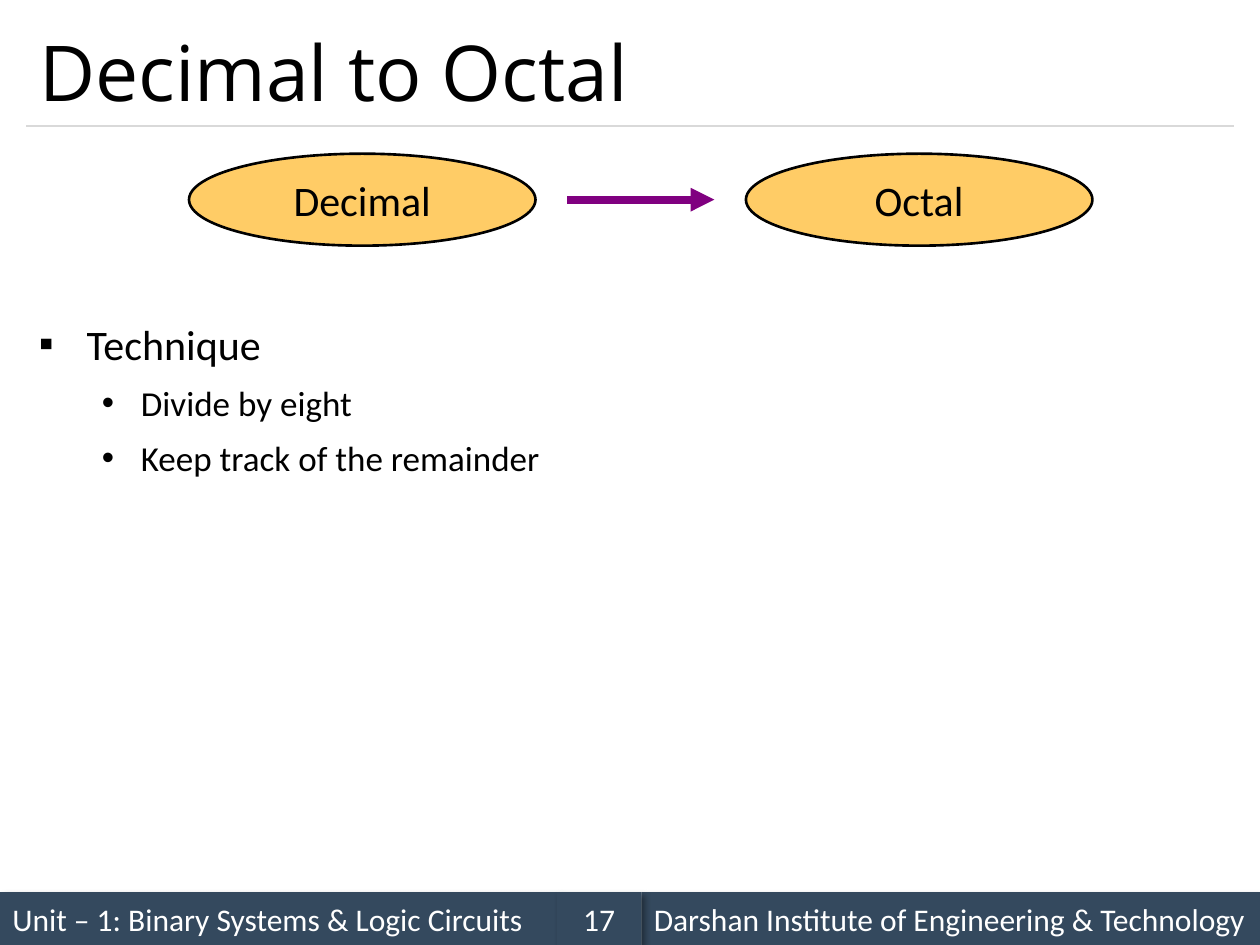
from lxml import etree
from pptx import Presentation
from pptx.dml.color import RGBColor
from pptx.enum.shapes import MSO_CONNECTOR, MSO_SHAPE
from pptx.enum.text import MSO_ANCHOR, MSO_AUTO_SIZE, PP_ALIGN
from pptx.oxml import parse_xml
from pptx.oxml.ns import nsdecls, qn
from pptx.util import Inches, Pt

STRAIGHT = MSO_CONNECTOR.STRAIGHT
RECTANGLE, OVAL = MSO_SHAPE.RECTANGLE, MSO_SHAPE.OVAL
MIDDLE, TOP = MSO_ANCHOR.MIDDLE, MSO_ANCHOR.TOP
LEFT, CENTER, JUSTIFY = PP_ALIGN.LEFT, PP_ALIGN.CENTER, PP_ALIGN.JUSTIFY
NO_FIT = MSO_AUTO_SIZE.NONE

WIDTH, HEIGHT = 10, 7.5
MARGIN = 0.21
CONTENT_WIDTH = WIDTH - 2 * MARGIN
COLORS = {
    "text": "000000",
    "footer": "34495E",
    "footer_text": "FFFFFF",
    "rule": "D9D9D9",
    "oval": "FFCC66",
    "arrow": "800080",
}
BULLETS = {0: ("▪", 0.38, 24), 1: ("•", 0.31, 20)}
LEVEL_INDENTS = {0: 0.38, 1: 0.81}


def color(name):
    """Return the named colour."""
    return RGBColor.from_string(COLORS[name])


def add_run(paragraph, text, size, color_name="text", font_name="Calibri"):
    """Append one formatted run to a paragraph."""
    run = paragraph.add_run()
    run.text = text
    run.font.name = font_name
    run.font.size = Pt(size)
    run.font.color.rgb = color(color_name)


def add_filled_shape(slide, kind, box, fill):
    """Add a flat shape with vertically centred text."""
    shape = slide.shapes.add_shape(kind, *map(Inches, box))
    shape.shadow.inherit = False
    shape.fill.solid()
    shape.fill.fore_color.rgb = color(fill)
    shape.text_frame.vertical_anchor = MIDDLE
    return shape


def add_line(slide, start, end, color_name, weight):
    """Add a straight line without a shadow."""
    line = slide.shapes.add_connector(STRAIGHT, *map(Inches, start + end))
    line.line.color.rgb = color(color_name)
    line.line.width = Pt(weight)
    etree.SubElement(line._element.spPr, qn("a:effectLst"))
    return line


def cast_shadow(shape):
    """Give a shape a soft shadow towards the lower right."""
    effects = shape._element.spPr.find(qn("a:effectLst"))
    effects.append(parse_xml(
        f'<a:outerShdw {nsdecls("a")} blurRad="{Pt(4)}" dist="{Pt(3)}" dir="2700000" '
        'algn="tl" rotWithShape="0"><a:srgbClr val="000000"><a:alpha val="40000"/>'
        '</a:srgbClr></a:outerShdw>'))


def add_footer(slide, top, height):
    """Fill the bottom band with unit, institute and page number."""
    number_left, number_width = 4.42, 0.67
    institute_left = number_left + number_width
    cells = [
        ("Unit – 1: Binary Systems & Logic Circuits", 0, number_left, LEFT),
        ("Darshan Institute of Engineering & Technology", institute_left,
         WIDTH - institute_left, LEFT),
        ("17", number_left, number_width, CENTER),
    ]
    for text, left, width, alignment in cells:
        cell = add_filled_shape(slide, RECTANGLE, (left, top, width, height), "footer")
        cell.line.fill.background()
        cast_shadow(cell)
        paragraph = cell.text_frame.paragraphs[0]
        paragraph.alignment = alignment
        add_run(paragraph, text, 18, "footer_text")


def add_title(slide, left, top, width, height):
    """Place the title with a thin rule along its bottom edge."""
    bottom = top + height
    add_line(slide, (left, bottom), (left + width, bottom), "rule", 0.75)
    title = slide.shapes.title
    title.left, title.top, title.width, title.height = map(Inches, (left, top, width, height))
    title.text_frame.auto_size = NO_FIT
    title.text_frame.vertical_anchor = MIDDLE
    paragraph = title.text_frame.paragraphs[0]
    paragraph.alignment = LEFT
    add_run(paragraph, "Decimal to Octal", 44, font_name="Open Sans")


def add_conversion(slide, left, top, width, height):
    """Draw two ovals at the ends of the box and an arrow in the gap."""
    oval_width, gap = 2.75, 0.25
    right_left = left + width - oval_width
    for text, oval_left in (("Decimal", left), ("Octal", right_left)):
        oval = add_filled_shape(slide, OVAL, (oval_left, top, oval_width, height), "oval")
        oval.line.color.rgb = color("text")
        oval.line.width = Pt(1.5)
        oval.text_frame.word_wrap = False
        paragraph = oval.text_frame.paragraphs[0]
        paragraph.alignment = CENTER
        add_run(paragraph, text, 24)
    middle = top + height / 2
    arrow = add_line(slide, (left + oval_width + gap, middle),
                     (right_left - gap, middle), "arrow", 4.5)
    etree.SubElement(arrow.line._get_or_add_ln(), qn("a:tailEnd"), type="triangle")


def format_bullet(paragraph, level):
    """Set the hanging indent and bullet sign of a list level."""
    sign, hanging, _ = BULLETS[level]
    paragraph.level = level
    properties = paragraph._p.get_or_add_pPr()
    properties.set("marL", str(Inches(LEVEL_INDENTS[level])))
    properties.set("indent", str(-Inches(hanging)))
    etree.SubElement(properties, qn("a:buFont"), typeface="Arial")
    etree.SubElement(properties, qn("a:buChar"), char=sign)


def add_bullets(slide, items, box):
    """Write a two-level bulleted list in the box."""
    frame = slide.shapes.add_textbox(*map(Inches, box)).text_frame
    frame.word_wrap = True
    frame.vertical_anchor = TOP
    for index, (level, text) in enumerate(items):
        paragraph = frame.add_paragraph() if index else frame.paragraphs[0]
        format_bullet(paragraph, level)
        size = BULLETS[level][2]
        paragraph.alignment = JUSTIFY
        paragraph.line_spacing = 1.14
        if index:
            paragraph.space_before = Pt(size * 0.2)
        add_run(paragraph, text, size)


def main():
    """Build and save the slide."""
    presentation = Presentation()
    presentation.slide_width, presentation.slide_height = Inches(WIDTH), Inches(HEIGHT)
    slide = presentation.slides.add_slide(presentation.slide_layouts[5])
    add_footer(slide, HEIGHT - 0.42, 0.42)
    add_title(slide, MARGIN, 0.12, CONTENT_WIDTH, 0.88)
    add_bullets(slide, [(0, "Technique"), (1, "Divide by eight"),
                        (1, "Keep track of the remainder")],
                (MARGIN, 2.42, CONTENT_WIDTH, 4.5))
    add_conversion(slide, 1.5, 1.22, 7.17, 0.73)
    presentation.save("out.pptx")


if __name__ == "__main__":
    main()
